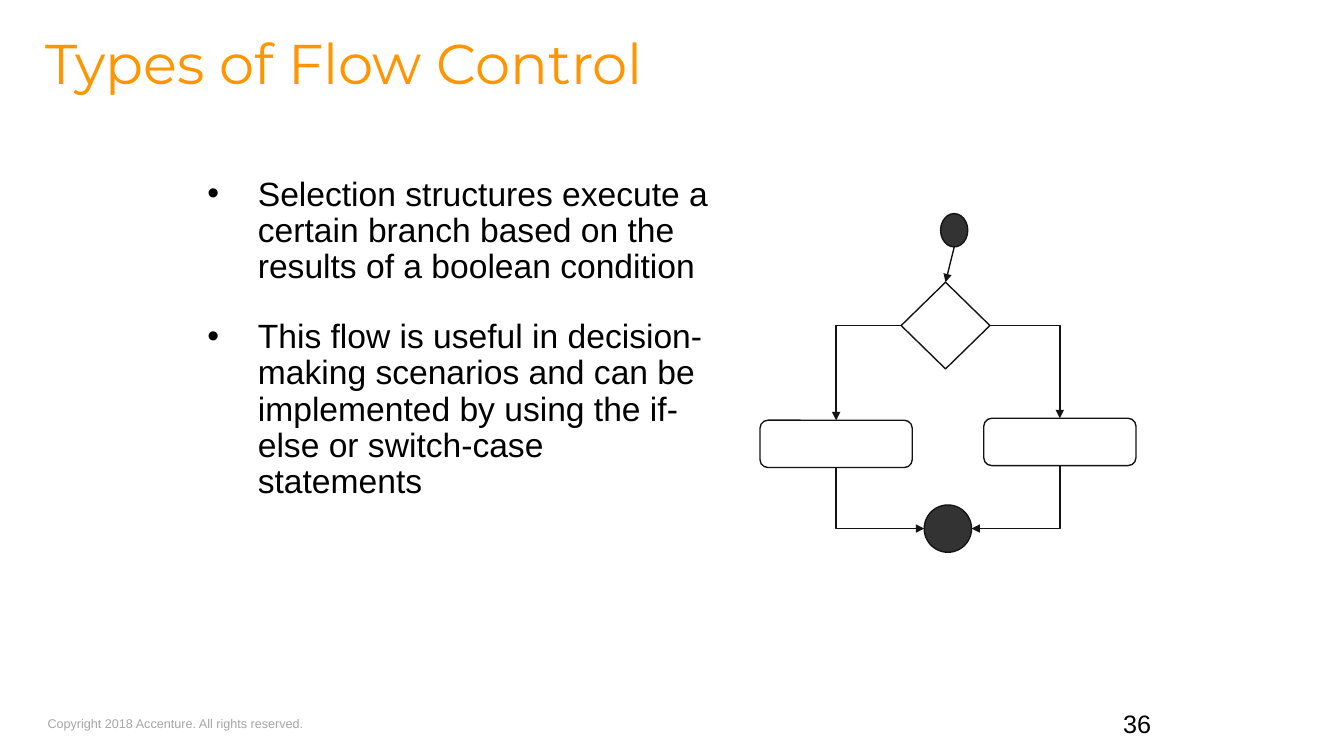
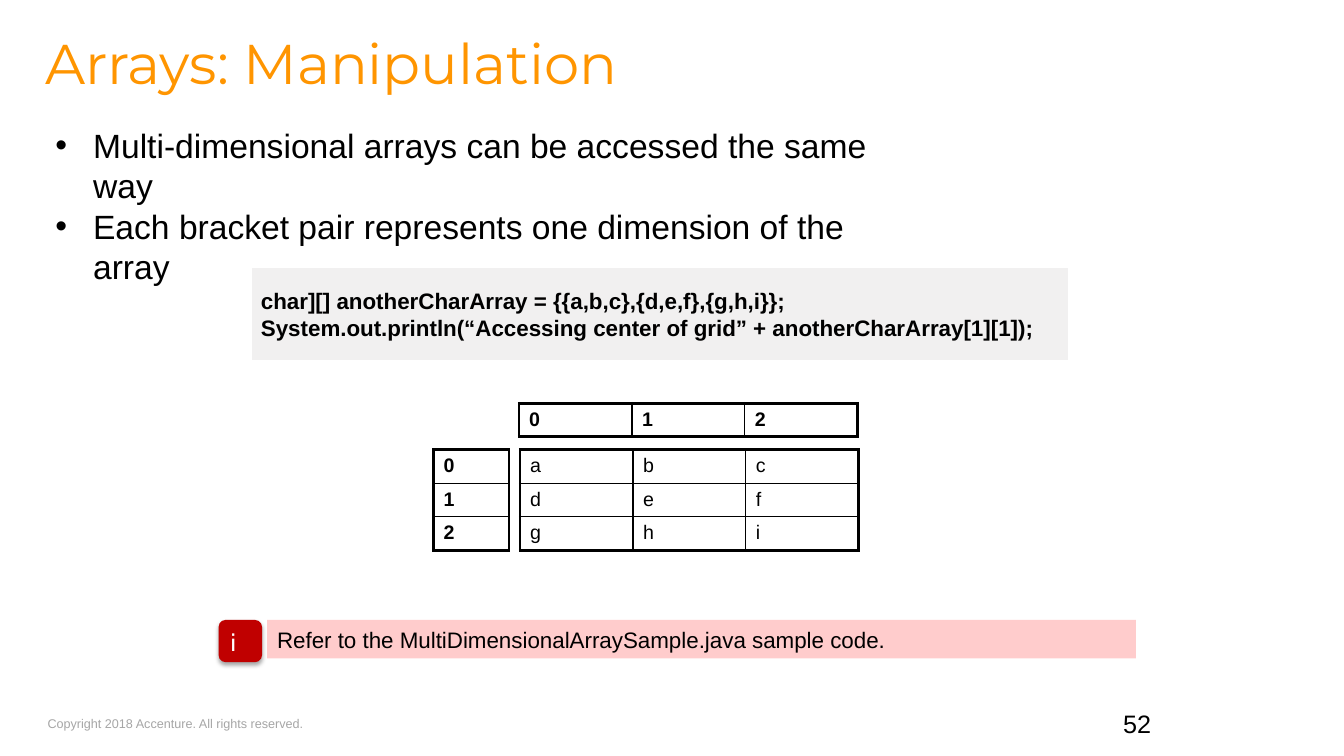
from lxml.etree import SubElement
from pptx import Presentation
from pptx.dml.color import RGBColor
from pptx.enum.shapes import MSO_CONNECTOR, MSO_SHAPE
from pptx.enum.text import MSO_ANCHOR, PP_ALIGN
from pptx.oxml.ns import qn
from pptx.util import Pt

INK = {
    "title": "FF9500", "text": "000000", "note": "A6A6A6", "white": "FFFFFF",
    "line": "141414", "dot": "333333", "code": "F1F0F0", "pink": "FFCCCC",
    "red": "C00000",
}
PAD = (7.2, 3.6, 7.2, 3.6)


def color(name):
    return RGBColor.from_string(INK[name])


def add(parent, tag, **attrs):
    return SubElement(parent, qn(tag), attrs)


class Deck:
    """Holds the shared style and the current slide."""

    def __init__(self):
        self.prs = Presentation()
        self.prs.slide_width, self.prs.slide_height = Pt(960), Pt(540)
        self.slide = None

    # Slide with title, copyright line and number
    def page(self, title, number):
        self.slide = self.prs.slides.add_slide(self.prs.slide_layouts[6])
        self.text((34, 507.6, 185, 18), ["Copyright 2018 Accenture. All rights reserved."],
                  size=9, ink="note", pad=(0, 3.6, 0, 3.6), wrap=False)
        self.text((696.2, 509.8, 133.2, 21.6), [number], size=18,
                  align=PP_ALIGN.RIGHT, anchor=MSO_ANCHOR.BOTTOM)
        self.text((32.4, 29.5, 599, 78.5), [title], size=40, ink="title",
                  font="Montserrat", pad=(0, 0, 0, 0), lead=0.8)

    # Text in any frame
    def fill(self, frame, lines, size=24, ink="text", font="Arial", bold=False,
             align=PP_ALIGN.LEFT, anchor=MSO_ANCHOR.TOP, pad=PAD, wrap=True,
             lead=None, gap=0, hang=0):
        frame.word_wrap = wrap
        frame.vertical_anchor = anchor
        (frame.margin_left, frame.margin_top,
         frame.margin_right, frame.margin_bottom) = map(Pt, pad)
        for i, line in enumerate(lines):
            para = frame.add_paragraph() if i else frame.paragraphs[0]
            para.alignment = align
            if lead:
                para.line_spacing = lead
            if i and gap:
                para.space_before = Pt(gap)
            if hang:
                props = para._p.get_or_add_pPr()
                props.set("marL", str(Pt(hang)))
                props.set("indent", str(-Pt(hang)))
                add(props, "a:buFont", typeface="Arial")
                add(props, "a:buChar", char="•")
            run = para.add_run()
            run.text = line
            run.font.name, run.font.size, run.font.bold = font, Pt(size), bold
            run.font.color.rgb = color(ink)

    def text(self, at, lines, **style):
        box = self.slide.shapes.add_textbox(*map(Pt, at))
        self.fill(box.text_frame, lines, **style)

    # Preset shape, with or without text
    def shape(self, kind, at, fill=None, line=None, width=1, lines=(), **style):
        item = self.slide.shapes.add_shape(kind, *map(Pt, at))
        item.shadow.inherit = False
        if fill:
            item.fill.solid()
            item.fill.fore_color.rgb = color(fill)
        else:
            item.fill.background()
        if line:
            item.line.color.rgb = color(line)
            item.line.width = Pt(width)
        else:
            item.line.fill.background()
        self.fill(item.text_frame, lines, anchor=MSO_ANCHOR.MIDDLE, **style)
        return item

    def shadow(self, item):
        glow = add(item._element.spPr.find(qn("a:effectLst")), "a:outerShdw",
                   blurRad=str(Pt(3.1)), dist=str(Pt(1.8)), dir="5400000",
                   algn="t", rotWithShape="0")
        shade = add(glow, "a:srgbClr", val=INK["text"])
        add(shade, "a:alpha", val="35000")

    # Joined arrow; a bent one leaves its first shape sideways
    def arrow(self, first, side, last, edge, bent=True, back=False):
        kind = MSO_CONNECTOR.ELBOW if bent else MSO_CONNECTOR.STRAIGHT
        link = self.slide.shapes.add_connector(kind, 0, 0, 0, 0)
        link.begin_connect(first, side)
        link.end_connect(last, edge)
        if first.auto_shape_type == MSO_SHAPE.FLOWCHART_CONNECTOR:
            # Round shapes have eight sites, so each side counts double
            start = link._element.nvCxnSpPr.cNvCxnSpPr.stCxn
            start.set("idx", str(side * 2))
        props = link._element.spPr
        if bent:
            props.find(qn("a:prstGeom")).set("prst", "bentConnector2")
        link.line.color.rgb = color("line")
        link.line.width = Pt(1)
        add(props.find(qn("a:ln")), "a:headEnd" if back else "a:tailEnd", type="triangle")
        add(props, "a:effectLst")

    # Table with a thick frame and thin inner lines
    def table(self, left, top, wide, highs, data, bold=False):
        rows, cols = len(data), len(data[0])
        grid = self.slide.shapes.add_table(
            rows, cols, Pt(left), Pt(top), Pt(wide * cols), Pt(sum(highs))).table
        grid.first_row = grid.horz_banding = False
        for col in grid.columns:
            col.width = Pt(wide)
        for r, line in enumerate(data):
            grid.rows[r].height = Pt(highs[r])
            for c, word in enumerate(line):
                cell = grid.cell(r, c)
                self.fill(cell.text_frame, [word], size=14, bold=bold)
                cell.margin_left = cell.margin_right = Pt(7.2)
                cell.margin_top = cell.margin_bottom = Pt(3.6)
                outer = {"L": c == 0, "R": c == cols - 1,
                         "T": r == 0, "B": r == rows - 1}
                props = cell._tc.get_or_add_tcPr()
                for side, thick in outer.items():
                    edge = add(props, "a:ln" + side, w=str(Pt(2.25 if thick else 1)))
                    add(add(edge, "a:solidFill"), "a:srgbClr", val=INK["text"])
                cell.fill.background()


def flow(deck):
    deck.page("Types of Flow Control", "36")
    deck.text((141.1, 123, 375.1, 366), [
        "Selection structures execute a certain branch based on the results "
        "of a boolean condition",
        "This flow is useful in decision-making scenarios and can be implemented "
        "by using the if-else or switch-case statements",
    ], lead=0.9, gap=24, hang=36)

    # Nodes
    ring = MSO_SHAPE.FLOWCHART_CONNECTOR
    start = deck.shape(ring, (671.9, 152.6, 19.4, 23.8), "dot", "line")
    test = deck.shape(MSO_SHAPE.DIAMOND, (643.7, 201.6, 63.4, 61.9), line="line")
    end = deck.shape(ring, (660.2, 360.7, 33.8, 33.8), "dot", "line")

    # Branches: left, then right
    for left, top, side in ((542.9, 300.2, 1), (702.7, 298.8, 3)):
        step = deck.shape(MSO_SHAPE.ROUNDED_RECTANGLE, (left, top, 108.7, 33.8), line="line")
        deck.arrow(test, side, step, 0)
        deck.arrow(end, side, step, 2, back=True)
    deck.arrow(start, 2, test, 0, bent=False)


def arrays(deck):
    deck.page("Arrays: Manipulation", "52")
    deck.text((32.4, 85.7, 601.2, 391), [
        "Multi-dimensional arrays can be accessed the same way",
        "Each bracket pair represents one dimension of the array",
    ], hang=27)

    # Grid with its column and row numbers
    keys = ["0", "1", "2"]
    deck.table(371.5, 321.1, 80.6, [23] * 3, ["abc", "def", "ghi"])
    deck.table(370.8, 288, 80.6, [23], [keys], bold=True)
    deck.table(309.6, 321.1, 54, [23, 24, 24], keys, bold=True)

    # Code
    deck.shape(MSO_SHAPE.RECTANGLE, (179.3, 190.8, 584.6, 67), "code", "white", 1.5, [
        "char][] anotherCharArray = {{a,b,c},{d,e,f},{g,h,i}};",
        "System.out.println(“Accessing center of grid” + anotherCharArray[1][1]);",
    ], size=16, bold=True)

    # Hint
    deck.shape(MSO_SHAPE.RECTANGLE, (190.8, 442.8, 620.6, 27.4), "pink", lines=[
        "Refer to the MultiDimensionalArraySample.java sample code."], size=16)
    badge = deck.shape(MSO_SHAPE.ROUNDED_RECTANGLE, (156.2, 442.8, 31, 30.2), "red",
                       lines=["i"], size=18, ink="white", font="Cabin")
    deck.shadow(badge)


def main():
    deck = Deck()
    flow(deck)
    arrays(deck)
    deck.prs.save("out.pptx")


if __name__ == "__main__":
    main()
